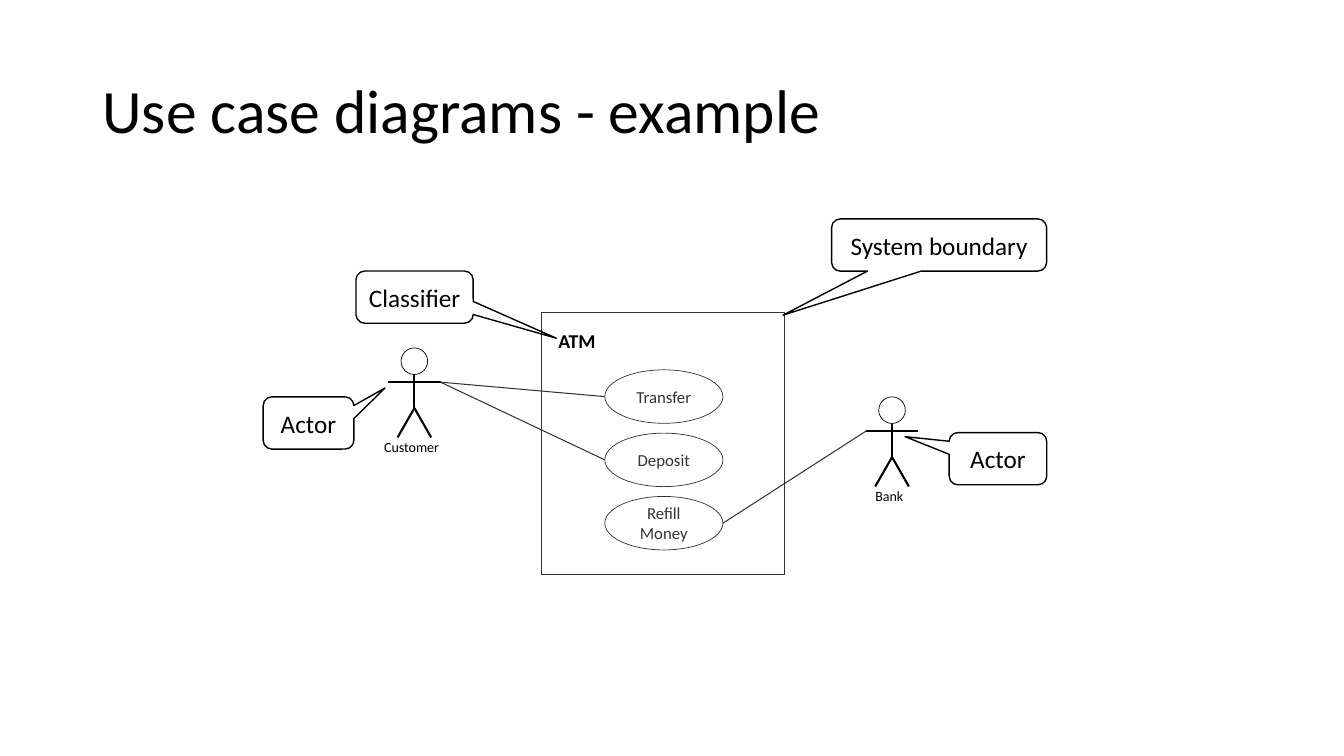
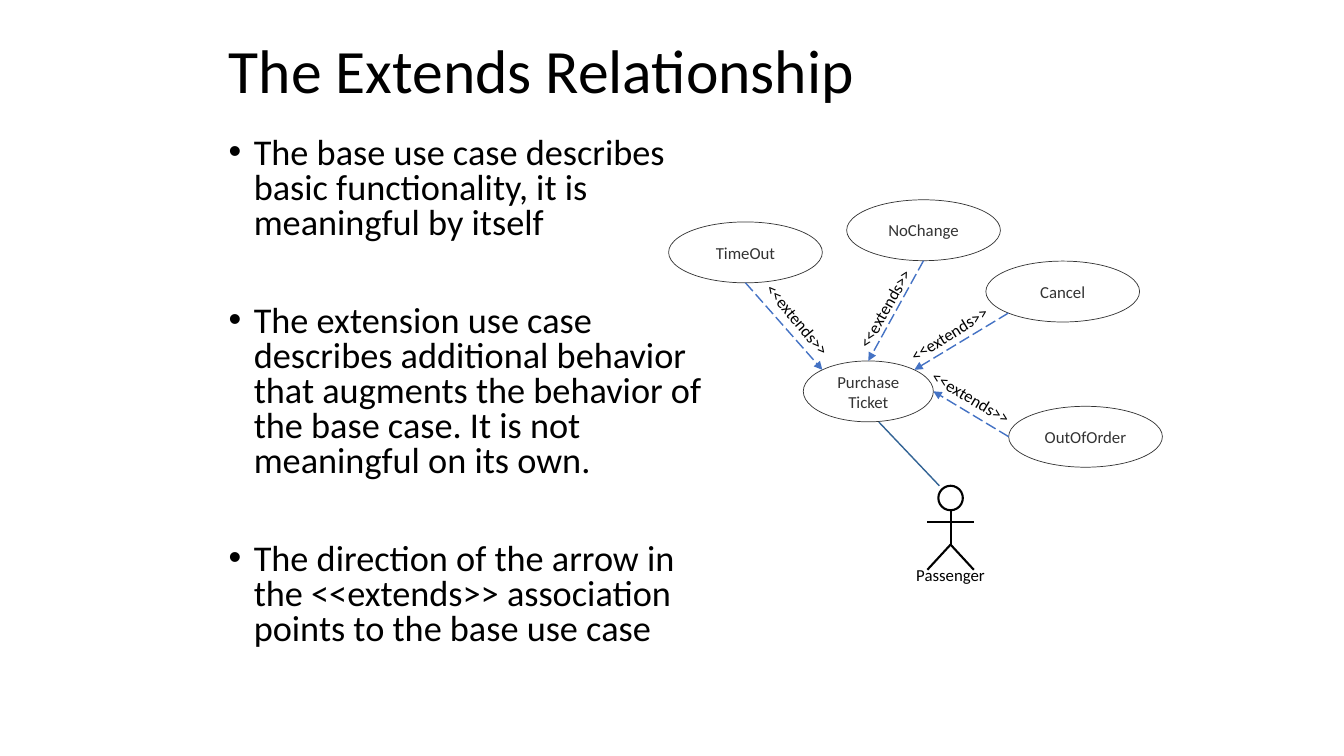
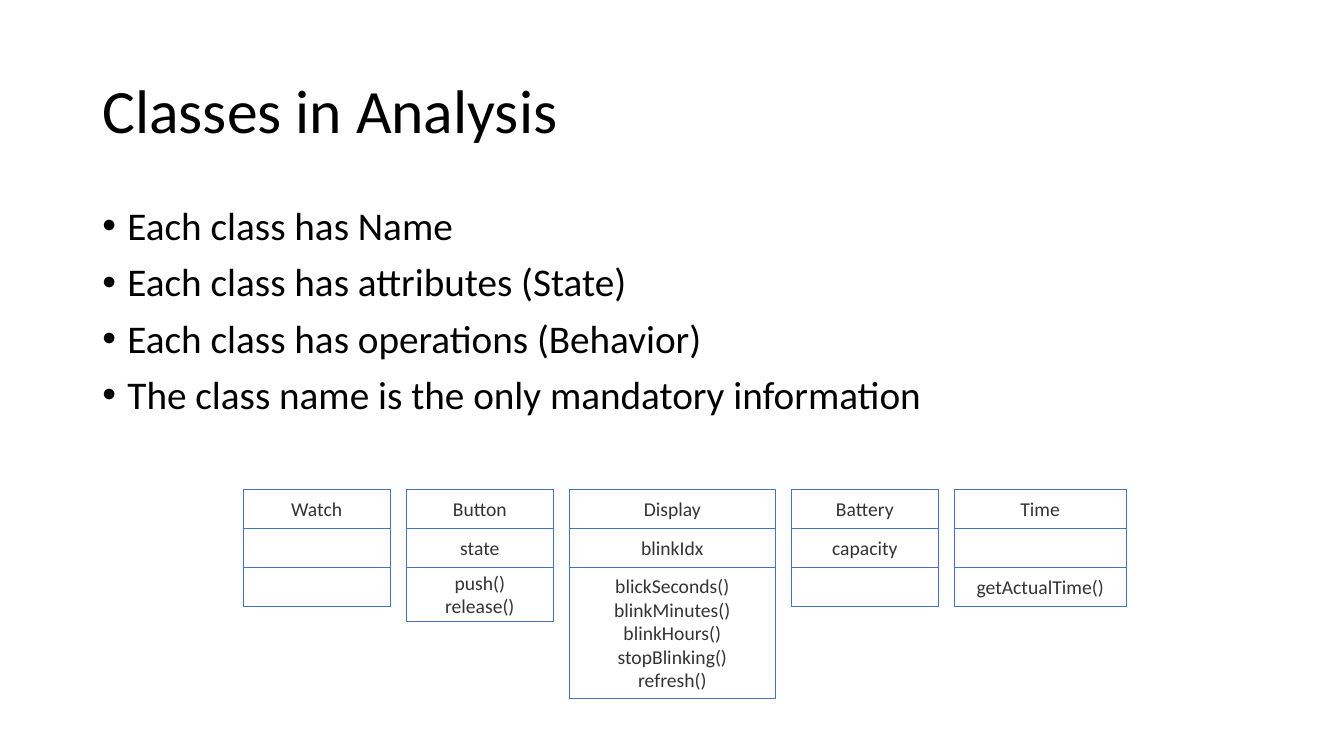
from dataclasses import dataclass
from math import cos, radians, sin
from typing import NamedTuple

from pptx import Presentation
from pptx.dml.color import RGBColor
from pptx.enum.dml import MSO_LINE
from pptx.enum.shapes import MSO_CONNECTOR, MSO_SHAPE
from pptx.enum.text import MSO_ANCHOR, MSO_AUTO_SIZE, PP_ALIGN
from pptx.oxml.ns import qn
from pptx.shapes.autoshape import Shape
from pptx.shapes.connector import Connector
from pptx.slide import Slide
from pptx.text.text import TextFrame
from pptx.util import Pt
from lxml.etree import SubElement

BLACK = RGBColor(0x00, 0x00, 0x00)
WHITE = RGBColor(0xFF, 0xFF, 0xFF)
GREY = RGBColor(0x33, 0x33, 0x33)
BLUE = RGBColor(0x44, 0x72, 0xC4)
NAVY = RGBColor(0x32, 0x63, 0x94)
FONT = "Calibri"


class Spot(NamedTuple):
    x: float
    y: float


class Box(NamedTuple):
    x: float
    y: float
    w: float
    h: float

    def rim(self, angle: float) -> Spot:
        """Point on the inscribed ellipse, clockwise from the right."""
        turn = radians(angle)
        return Spot(self.x + self.w / 2 * (1 + cos(turn)),
                    self.y + self.h / 2 * (1 + sin(turn)))


@dataclass
class Actor:
    name: str
    x: float
    top: float
    head: float = 19
    arm: float = 24.5
    hip: float = 43
    foot: float = 64
    reach: float = 18.7
    stride: float = 12
    weight: float = 0.5
    size: float = 10
    lean: float = -2
    drop: float = 0.8

    def hand(self, side: int) -> Spot:
        return Spot(self.x + side * self.reach, self.top + self.arm)


@dataclass
class Callout:
    text: str
    box: Box
    tip: Spot


@dataclass
class Extend:
    text: str
    x: float
    y: float
    start: float
    end: float
    tag: Spot
    turn: float


@dataclass
class Class:
    name: str
    width: float
    state: str = ""
    acts: str = ""
    depth: float = 27.7


WIDE = Box(66, 28.8, 828, 104.4)
NARROW = Box(156.2, 21.6, 648, 61.2)

CLIENT = Actor("Customer", 296, 248.5)
BANK = Actor("Bank", 637.2, 283.5)
RIDER = Actor("Passenger", 679, 347, head=17.5, arm=26, hip=42, foot=60,
              reach=16.6, stride=16.6, weight=1.5, size=12, lean=0, drop=-3.6)

CASES = ["Transfer", "Deposit", "Refill\nMoney"]
CALLOUTS = [
    Callout("Actor", Box(188, 283.5, 64.8, 37.3), Spot(0.843, -0.67)),
    Callout("Classifier", Box(254.3, 193.6, 83.7, 37.3), Spot(1.209, 0.787)),
    Callout("Actor", Box(678, 309, 69.7, 37.3), Spot(-0.952, -0.421)),
    Callout("System boundary", Box(594, 156.4, 153.6, 37.3), Spot(-0.726, 1.343)),
]

BASE = Box(573.8, 257.8, 92.9, 43.5)
EXTENDS = [
    Extend("OutOfOrder", 720.5, 290.2, 180, 0, Spot(693.7, 283.7), 30.9),
    Extend("Cancel", 704.2, 186.5, 135, 315, Spot(677.9, 238.3), 328),
    Extend("NoChange", 604.8, 142.7, 90, 270, Spot(631.8, 220.3), 299.7),
    Extend("TimeOut", 477.6, 158.5, 90, 225, Spot(569.9, 228.2), 50.1),
]
RULES = """The base use case describes basic functionality, it is meaningful by itself
The extension use case describes additional behavior that augments the behavior of the base case. It is not meaningful on its own.
The direction of the arrow in the <<extends>> association points to the base use case"""

FACTS = """Each class has Name
Each class has attributes (State)
Each class has operations (Behavior)
The class name is the only mandatory information"""
CLASSES = [
    Class("Watch", 105.5),
    Class("Button", 105.5, "state", "push()\nrelease()", 38.7),
    Class("Display", 147.5, "blinkIdx",
          "blickSeconds()\nblinkMinutes()\nblinkHours()\nstopBlinking()\nrefresh()", 94),
    Class("Battery", 105.5, "capacity"),
    Class("Time", 123, acts="getActualTime()"),
]


def write(frame: TextFrame, text: str, *, size: float = 12,
          color: RGBColor = BLACK, bold: bool = False,
          align: PP_ALIGN = PP_ALIGN.LEFT, anchor: MSO_ANCHOR = MSO_ANCHOR.TOP,
          wrap: bool = True, pad: bool = True, pitch: float = 1,
          gap: float = 0, bullet: bool = False) -> None:
    """Fill a frame, one paragraph per line; gap separates paragraphs."""
    frame.auto_size = MSO_AUTO_SIZE.NONE
    frame.word_wrap = wrap
    frame.vertical_anchor = anchor
    frame.margin_left = frame.margin_right = Pt(7.2 if pad else 0)
    frame.margin_top = frame.margin_bottom = Pt(3.6 if pad else 0)
    for i, line in enumerate(text.split("\n")):
        para = frame.add_paragraph() if i else frame.paragraphs[0]
        para.alignment = align
        para.line_spacing = pitch
        para.space_before = Pt(gap if i else 0)
        run = para.add_run()
        run.text = line
        font = run.font
        font.name, font.size, font.bold = FONT, Pt(size), bold
        font.color.rgb = color
        if bullet:
            props = para._p.get_or_add_pPr()
            props.set("marL", str(Pt(18)))
            props.set("indent", str(Pt(-18)))
            SubElement(props, qn("a:buFont")).set("typeface", "Arial")
            SubElement(props, qn("a:buChar")).set("char", "•")


def place(box: Box) -> list[Pt]:
    return [Pt(side) for side in box]


def label(slide: Slide, box: Box, text: str, **style) -> Shape:
    area = slide.shapes.add_textbox(*place(box))
    write(area.text_frame, text, **style)
    return area


def draw(slide: Slide, kind: MSO_SHAPE, box: Box, text: str = "", *,
         line: RGBColor = GREY, weight: float = 0.5,
         fill: RGBColor | None = None, **style) -> Shape:
    shape = slide.shapes.add_shape(kind, *place(box))
    shape.shadow.inherit = False
    if fill is None:
        shape.fill.background()
    else:
        shape.fill.solid()
        shape.fill.fore_color.rgb = fill
    shape.line.color.rgb = line
    shape.line.width = Pt(weight)
    if text:
        look = {"color": GREY, "align": PP_ALIGN.CENTER,
                "anchor": MSO_ANCHOR.MIDDLE, "pad": False}
        write(shape.text_frame, text, **(look | style))
    return shape


def link(slide: Slide, start: Spot, end: Spot, color: RGBColor = BLACK,
         weight: float = 1.5, arrow: bool = False) -> Connector:
    """Straight line; an arrow is dashed, with its head at the end."""
    wire = slide.shapes.add_connector(
        MSO_CONNECTOR.STRAIGHT, *[Pt(v) for v in (*start, *end)])
    wire.line.color.rgb = color
    wire.line.width = Pt(weight)
    props = wire.element.spPr
    if arrow:
        wire.line.dash_style = MSO_LINE.LONG_DASH
        SubElement(props.find(qn("a:ln")), qn("a:tailEnd")).set("type", "triangle")
    SubElement(props, qn("a:effectLst"))
    return wire


def person(slide: Slide, actor: Actor) -> None:
    x, top = actor.x, actor.top
    hip = Spot(x, top + actor.hip)
    foot = top + actor.foot
    link(slide, Spot(x, top + actor.head), hip)
    link(slide, actor.hand(-1), actor.hand(1))
    for side in (-1, 1):
        link(slide, hip, Spot(x + side * actor.stride, foot))
    head = Box(x - actor.head / 2, top, actor.head, actor.head)
    draw(slide, MSO_SHAPE.OVAL, head, line=BLACK, weight=actor.weight, fill=WHITE)
    name = Box(x + actor.lean - 35, foot + actor.drop, 70, 14.4)
    label(slide, name, actor.name, size=actor.size, align=PP_ALIGN.CENTER,
          wrap=False, pad=False)


def start(deck: Presentation, title: str, box: Box) -> Slide:
    slide = deck.slides.add_slide(deck.slide_layouts[5])
    head = slide.shapes.title
    head.left, head.top, head.width, head.height = place(box)
    write(head.text_frame, title, size=44, anchor=MSO_ANCHOR.MIDDLE, pitch=0.9)
    return slide


def cases(deck: Presentation) -> None:
    slide = start(deck, "Use case diagrams - example", WIDE)
    draw(slide, MSO_SHAPE.RECTANGLE, Box(386.7, 223.2, 173.5, 186.8))
    label(slide, Box(391.7, 231.1, 62, 24.5), "ATM", size=14, bold=True)
    ovals = [Box(432, 264.2 + 45.2 * i, 84.4, 38.2) for i in range(len(CASES))]
    for oval, text in zip(ovals, CASES):
        draw(slide, MSO_SHAPE.OVAL, oval, text)
    for actor in (CLIENT, BANK):
        person(slide, actor)
    for oval in ovals[:2]:
        link(slide, CLIENT.hand(1), oval.rim(180), GREY, 0.75)
    link(slide, BANK.hand(-1), ovals[2].rim(0), GREY, 0.75)
    for note in CALLOUTS:
        shape = draw(slide, MSO_SHAPE.ROUNDED_RECTANGULAR_CALLOUT, note.box,
                     note.text, line=BLACK, weight=1, size=18, color=BLACK,
                     wrap=False)
        shape.adjustments[0], shape.adjustments[1] = note.tip


def extends(deck: Presentation) -> None:
    slide = start(deck, "The Extends Relationship", NARROW)
    label(slide, Box(156.2, 95, 370.8, 387.4), RULES, size=25.9, pitch=0.8,
          gap=45.3, bullet=True)
    draw(slide, MSO_SHAPE.OVAL, BASE, "Purchase\nTicket")
    for item in EXTENDS:
        oval = Box(item.x, item.y, 109.8, 43.5)
        draw(slide, MSO_SHAPE.OVAL, oval, item.text)
        link(slide, oval.rim(item.start), BASE.rim(item.end), BLUE, 1, arrow=True)
        tag = Box(item.tag.x - 38.5, item.tag.y - 10.8, 77, 21.6)
        area = label(slide, tag, "<<extends>>", align=PP_ALIGN.CENTER,
                     anchor=MSO_ANCHOR.MIDDLE, wrap=False)
        area.rotation = item.turn
    person(slide, RIDER)
    link(slide, Spot(671, 347), Spot(627.8, 301.5), NAVY, 1)


def classes(deck: Presentation) -> None:
    slide = start(deck, "Classes in Analysis", WIDE)
    label(slide, Box(66, 144, 828, 342.7), FACTS, size=28, pitch=0.9, gap=10,
          bullet=True)
    x, row, gap = 173.5, 27.7, 11
    for item in CLASSES:
        y = 349.7
        for text, height in ((item.name, row), (item.state, row),
                             (item.acts, item.depth)):
            draw(slide, MSO_SHAPE.RECTANGLE, Box(x, y, item.width, height), text,
                 line=BLUE, size=14)
            y += height
        x += item.width + gap


def main() -> None:
    deck = Presentation()
    deck.slide_width, deck.slide_height = Pt(960), Pt(540)
    cases(deck)
    extends(deck)
    classes(deck)
    deck.save("out.pptx")


if __name__ == "__main__":
    main()
